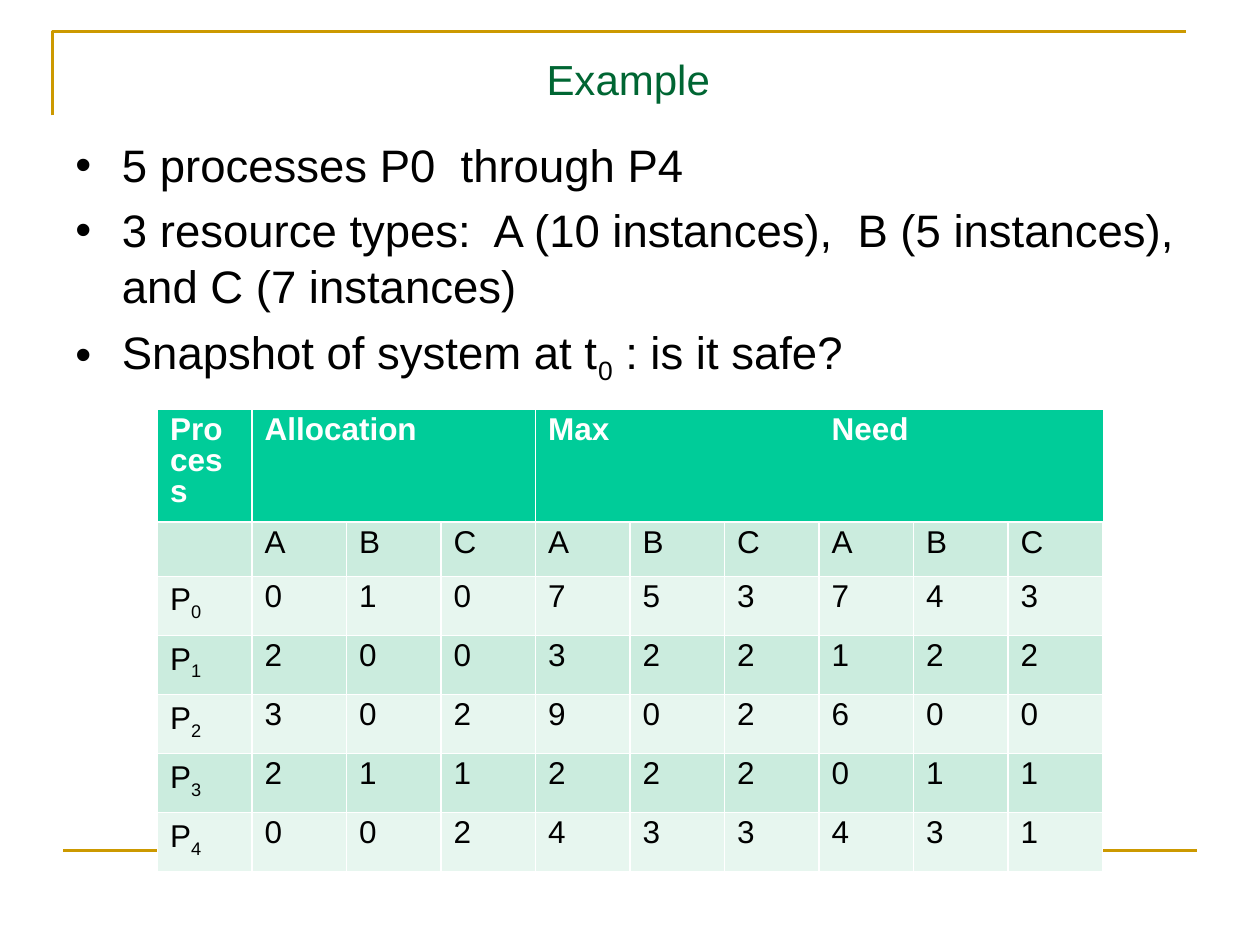
from lxml import etree
from pptx import Presentation
from pptx import util as u
from pptx.dml import color
from pptx.enum import shapes, text
from pptx.oxml import ns

GOLD, GREEN, BLACK, WHITE = "CC9900", "006633", "000000", "FFFFFF"
HEAD, DARK, LIGHT = "00CC99", "CBECDE", "E7F6EF"
POINTS = [
    "5 processes P0  through P4",
    "3 resource types:  A (10 instances),  B (5 instances), and C (7 instances)",
    "Snapshot of system at t_0_ : is it safe?",
]
GROUPS = ["Allocation", "Max", "Need"]
DATA = ["010753743", "200322122", "302902600", "211222011", "002433431"]


def rgb(code):
    """Return the colour for a hex string."""
    return color.RGBColor.from_string(code)


def add(node, tag, **vals):
    """Append a DrawingML child with attributes and return it."""
    kid = etree.SubElement(node, ns.qn("a:" + tag))
    for key, val in vals.items():
        kid.set(key, str(val))
    return kid


def write(para, words, tint, **form):
    """Fill a paragraph with runs, lowering parts held between underscores."""
    for i, part in enumerate(words.split("_")):
        if part:
            run = para.add_run()
            run.text = part
            run.font.color.rgb = rgb(tint)
            for key, val in {"name": "Arial", **form}.items():
                setattr(run.font, key, val)
            if i % 2:
                run._r.get_or_add_rPr().set("baseline", "-25000")


def place(shape, left, top, width, height):
    """Set the position and size of a shape in points."""
    box = {"left": left, "top": top, "width": width, "height": height}
    for key, val in box.items():
        setattr(shape, key, u.Pt(val))


def stroke(line):
    """Give a line the gold rule format."""
    line.color.rgb = rgb(GOLD)
    line.width = u.Pt(1.5)


def rules(slide):
    """Draw the corner outline and the bottom rule."""
    path = slide.shapes.build_freeform(u.Pt(30), u.Pt(66))
    path.add_line_segments([(u.Pt(30), u.Pt(18)), (u.Pt(678), u.Pt(18))], close=False)
    edge = path.convert_to_shape()
    edge.shadow.inherit = False
    edge.fill.background()
    stroke(edge.line)
    base = slide.shapes.add_connector(
        shapes.MSO_CONNECTOR.STRAIGHT, u.Pt(36), u.Pt(486), u.Pt(684), u.Pt(486))
    stroke(base.line)
    add(base._element.spPr, "effectLst")


def title(slide, words):
    """Place and format the title."""
    shape = slide.shapes.title
    place(shape, 36, 24, 646, 42)
    shape.text_frame.vertical_anchor = text.MSO_ANCHOR.MIDDLE
    para = shape.text_frame.paragraphs[0]
    para.alignment = text.PP_ALIGN.CENTER
    write(para, words, GREEN, size=u.Pt(24))


def bullets(slide, items):
    """Add the bulleted text box."""
    shape = slide.shapes.add_textbox(0, 0, 0, 0)
    place(shape, 36, 72, 646, 181)
    frame = shape.text_frame
    frame.word_wrap = True
    frame.margin_top = u.Pt(5.5)
    for i, item in enumerate(items):
        para = frame.add_paragraph() if i else frame.paragraphs[0]
        props = para._p.get_or_add_pPr()
        props.set("marL", str(u.Pt(26.6)))
        props.set("indent", str(u.Pt(-26.6)))
        add(add(props, "buClr"), "srgbClr", val=BLACK)
        add(props, "buFont", typeface="Arial")
        add(props, "buChar", char="•")
        para.line_spacing = 1.03
        if i:
            para.space_before = u.Pt(5)
        write(para, item, BLACK, size=u.Pt(26))


def border(cell, shown):
    """Draw white lines on the sides shown and none on the others."""
    props = cell._tc.get_or_add_tcPr()
    for side in "LRTB":
        line = add(props, "ln" + side, w=u.Pt(0.75))
        if side in shown:
            add(add(line, "solidFill"), "srgbClr", val=WHITE)
        else:
            add(line, "noFill")


def grid(slide):
    """Add the table of allocation, maximum and need."""
    heads = ["Process"] + [w for name in GROUPS for w in (name, "", "")]
    rows = [heads, ["", *"ABC" * 3]]
    rows += [[f"P_{i}_", *line] for i, line in enumerate(DATA)]
    frame = slide.shapes.add_table(
        len(rows), len(heads), u.Pt(90), u.Pt(234), u.Pt(540), u.Pt(260))
    table = frame.table
    for col in table.columns:
        col.width = u.Pt(54)
    for r, row in enumerate(rows):
        table.rows[r].height = u.Pt({0: 60, 1: 31}.get(r, 33.8))
        for c, words in enumerate(row):
            cell = table.cell(r, c)
            sides = "LRTB"
            if r == 0 and c > 3:
                sides = "LTB" if c == 4 else "TB"
            border(cell, sides)
            cell.fill.solid()
            cell.fill.fore_color.rgb = rgb((DARK if r % 2 else LIGHT) if r else HEAD)
            para = cell.text_frame.paragraphs[0]
            para.line_spacing = 0.88
            write(para, words, BLACK if r else WHITE, size=u.Pt(18), bold=r == 0)
    for c in range(1, len(heads), 3):
        table.cell(0, c).merge(table.cell(0, c + 2))


def main():
    """Build the slide and save it."""
    deck = Presentation()
    deck.slide_width, deck.slide_height = u.Pt(720), u.Pt(540)
    slide = deck.slides.add_slide(deck.slide_layouts[5])
    rules(slide)
    title(slide, "Example")
    bullets(slide, POINTS)
    grid(slide)
    deck.save("out.pptx")


if __name__ == "__main__":
    main()
